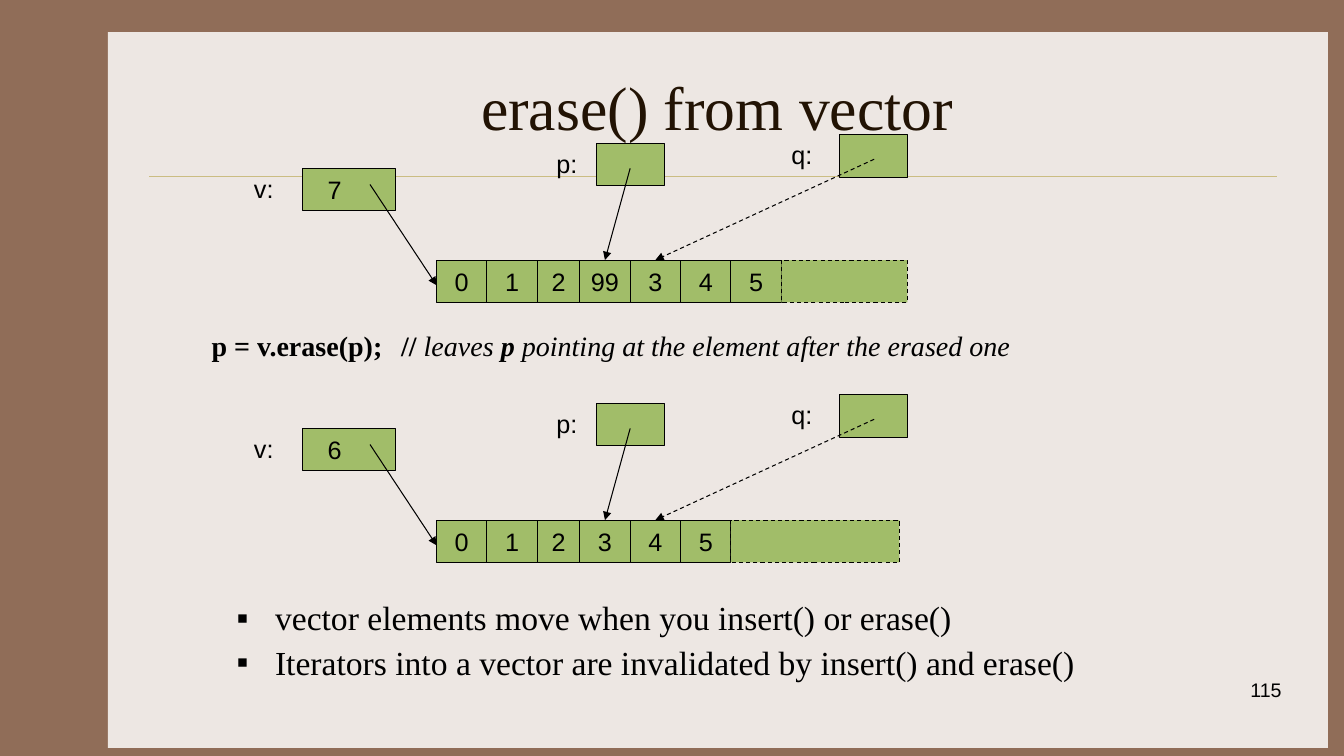
from dataclasses import dataclass, field

from lxml import etree
from pptx import Presentation
from pptx import util as u
from pptx.dml.color import RGBColor
from pptx.enum import dml, shapes, text
from pptx.oxml import ns

SERIF = "Times New Roman"
SANS = "Arial"
BLACK = "000000"
GREEN = "A1BD69"
CELL_WIDTH = 0.5
NARROW_WIDTH = 0.42
CELL_HEIGHT = 0.42
ROW_LEFT = 4.33
ROW_TOP = 2.58
DIAGRAM_PITCH = 2.58
LABEL_FORMAT = {"name": SANS, "size": u.Pt(18)}
BODY_FORMAT = {"name": SERIF, "size": u.Pt(24)}
CODE_FORMAT = {"name": SERIF, "size": u.Pt(20)}


@dataclass
class Box:
    left: float
    top: float
    width: float
    height: float
    caption: str = ""
    dashed: bool = False
    right_inset: float = 0.1


@dataclass
class Arrow:
    start: tuple[float, float]
    end: tuple[float, float]
    dashed: bool = False
    target: object = None


@dataclass
class Diagram:
    size: str
    values: list[str]
    spare_width: float
    shift: float


@dataclass
class Line:
    runs: list[tuple[str, dict]]
    layout: dict = field(default_factory=dict)
    hanging: bool = False
    bullet: str = ""


def color(value: str) -> RGBColor:
    return RGBColor.from_string(value)


def apply(target, values: dict) -> None:
    for name, value in values.items():
        setattr(target, name, value)


def add_child(parent, tag: str, **attributes: str):
    return etree.SubElement(parent, ns.qn(tag), **attributes)


def outline(item, value: str, width: float, dashed: bool = False) -> None:
    item.line.color.rgb = color(value)
    item.line.width = u.Pt(width)
    if dashed:
        item.line.dash_style = dml.MSO_LINE.DASH


def fill_paragraph(paragraph, line: Line, font_color: str) -> None:
    if line.hanging:
        properties = paragraph._p.get_or_add_pPr()
        properties.set("marL", str(u.Inches(0.38)))
        properties.set("indent", str(-u.Inches(0.38)))
        if line.bullet:
            add_child(properties, "a:buFont", typeface=SERIF)
            add_child(properties, "a:buChar", char=line.bullet)
    apply(paragraph, line.layout)
    for wording, format_values in line.runs:
        run = paragraph.add_run()
        run.text = wording
        apply(run.font, format_values)
        run.font.color.rgb = color(font_color)


def add_text(slide, box: Box, lines: list[Line], font_color: str = BLACK,
             anchor=text.MSO_ANCHOR.TOP) -> None:
    shape = slide.shapes.add_textbox(*map(u.Inches, (box.left, box.top, box.width, box.height)))
    frame = shape.text_frame
    apply(frame, {"word_wrap": True, "vertical_anchor": anchor})
    for index, line in enumerate(lines):
        paragraph = frame.add_paragraph() if index else frame.paragraphs[0]
        fill_paragraph(paragraph, line, font_color)


def add_rectangle(slide, box: Box, fill: str):
    shape = slide.shapes.add_shape(
        shapes.MSO_SHAPE.RECTANGLE, *map(u.Inches, (box.left, box.top, box.width, box.height)))
    shape.shadow.inherit = False
    shape.fill.solid()
    shape.fill.fore_color.rgb = color(fill)
    return shape


def add_box(slide, box: Box):
    shape = add_rectangle(slide, box, GREEN)
    outline(shape, BLACK, 0.75, box.dashed)
    if box.caption:
        frame = shape.text_frame
        apply(frame, {"word_wrap": False, "vertical_anchor": text.MSO_ANCHOR.MIDDLE,
                      "margin_right": u.Inches(box.right_inset)})
        caption = Line([(box.caption, LABEL_FORMAT)], {"alignment": text.PP_ALIGN.CENTER})
        fill_paragraph(frame.paragraphs[0], caption, BLACK)
    return shape


def add_line(slide, start: tuple[float, float], end: tuple[float, float]):
    connector = slide.shapes.add_connector(
        shapes.MSO_CONNECTOR.STRAIGHT, *map(u.Inches, (*start, *end)))
    return connector


def finish_line(connector, value: str, width: float, dashed: bool = False,
                head: bool = False) -> None:
    outline(connector, value, width, dashed)
    if head:
        add_child(connector.line._get_or_add_ln(), "a:tailEnd", type="triangle")
    add_child(connector._element.spPr, "a:effectLst")


def add_arrow(slide, arrow: Arrow) -> None:
    connector = add_line(slide, arrow.start, arrow.end)
    if arrow.target is not None:
        connector.end_connect(arrow.target, 0)
    finish_line(connector, BLACK, 0.75, arrow.dashed, head=True)


def add_diagram(slide, diagram: Diagram) -> None:
    shift = diagram.shift
    add_box(slide, Box(3, 1.67 + shift, 0.92, CELL_HEIGHT, diagram.size, right_inset=0.38))
    add_box(slide, Box(5.92, 1.42 + shift, 0.67, CELL_HEIGHT))
    add_box(slide, Box(8.33, 1.33 + shift, 0.67, 0.43))
    left, top = ROW_LEFT, ROW_TOP + shift
    cells = []
    for value in diagram.values:
        width = NARROW_WIDTH if value == "2" else CELL_WIDTH
        cells.append(add_box(slide, Box(left, top, width, CELL_HEIGHT, value)))
        left += width
    add_box(slide, Box(left, top, diagram.spare_width, CELL_HEIGHT, dashed=True))
    for label, label_left, label_top in (("v:", 2.42, 1.67), ("p:", 5.42, 1.42), ("q:", 7.75, 1.33)):
        add_text(slide, Box(label_left, label_top + shift, 0.58, 0.4), [Line([(label, LABEL_FORMAT)])])
    for arrow in (
        Arrow((3.67, 1.83 + shift), (ROW_LEFT, 2.83 + shift)),
        Arrow((6.25, 1.67 + shift), (6, top), target=cells[3]),
        Arrow((8.67, 1.58 + shift), (6.5, top), dashed=True, target=cells[4]),
    ):
        add_arrow(slide, arrow)


def main() -> None:
    presentation = Presentation()
    apply(presentation, {"slide_width": u.Inches(13.33), "slide_height": u.Inches(7.5)})
    slide = presentation.slides.add_slide(presentation.slide_layouts[6])
    slide.background.fill.solid()
    slide.background.fill.fore_color.rgb = color("906D58")
    panel = add_rectangle(slide, Box(1.07, 0.32, 12.1, 7.1), "EDE7E3")
    panel.line.fill.background()
    finish_line(add_line(slide, (1.48, 1.75), (12.67, 1.75)), "CBBD83", 0.25)

    title = Line([("erase() from vector", {"name": SERIF, "size": u.Pt(44)})],
                 {"alignment": text.PP_ALIGN.CENTER})
    add_text(slide, Box(1.56, 0.42, 11.11, 1.25), [title], "221304", text.MSO_ANCHOR.MIDDLE)
    number = Line([("115", {"name": SANS, "size": u.Pt(14)})], {"alignment": text.PP_ALIGN.RIGHT})
    add_text(slide, Box(10.03, 6.68, 2.78, 0.5), [number])

    statement = Line([
        ("p = v.erase(p);\t// ", CODE_FORMAT | {"bold": True}),
        ("leaves", CODE_FORMAT | {"italic": True}),
        (" p ", CODE_FORMAT | {"bold": True, "italic": True}),
        ("pointing at the element after the erased one", CODE_FORMAT | {"italic": True}),
    ], {"line_spacing": 0.9}, hanging=True)
    add_text(slide, Box(2, 3.25, 9, 0.58), [statement])
    remarks = ("vector elements move when you insert() or erase()",
               "Iterators into a vector are invalidated by insert() and erase()")
    add_text(slide, Box(2.25, 5.92, 9, 0.42), [
        Line([(remark, BODY_FORMAT)],
             {"line_spacing": 0.9, "space_before": u.Pt(6 if index else 0)}, True, "▪")
        for index, remark in enumerate(remarks)])

    for diagram in (
        Diagram("7", ["0", "1", "2", "99", "3", "4", "5"], 1.25, 0),
        Diagram("6", ["0", "1", "2", "3", "4", "5"], 1.67, DIAGRAM_PITCH),
    ):
        add_diagram(slide, diagram)
    presentation.save("out.pptx")


if __name__ == "__main__":
    main()
